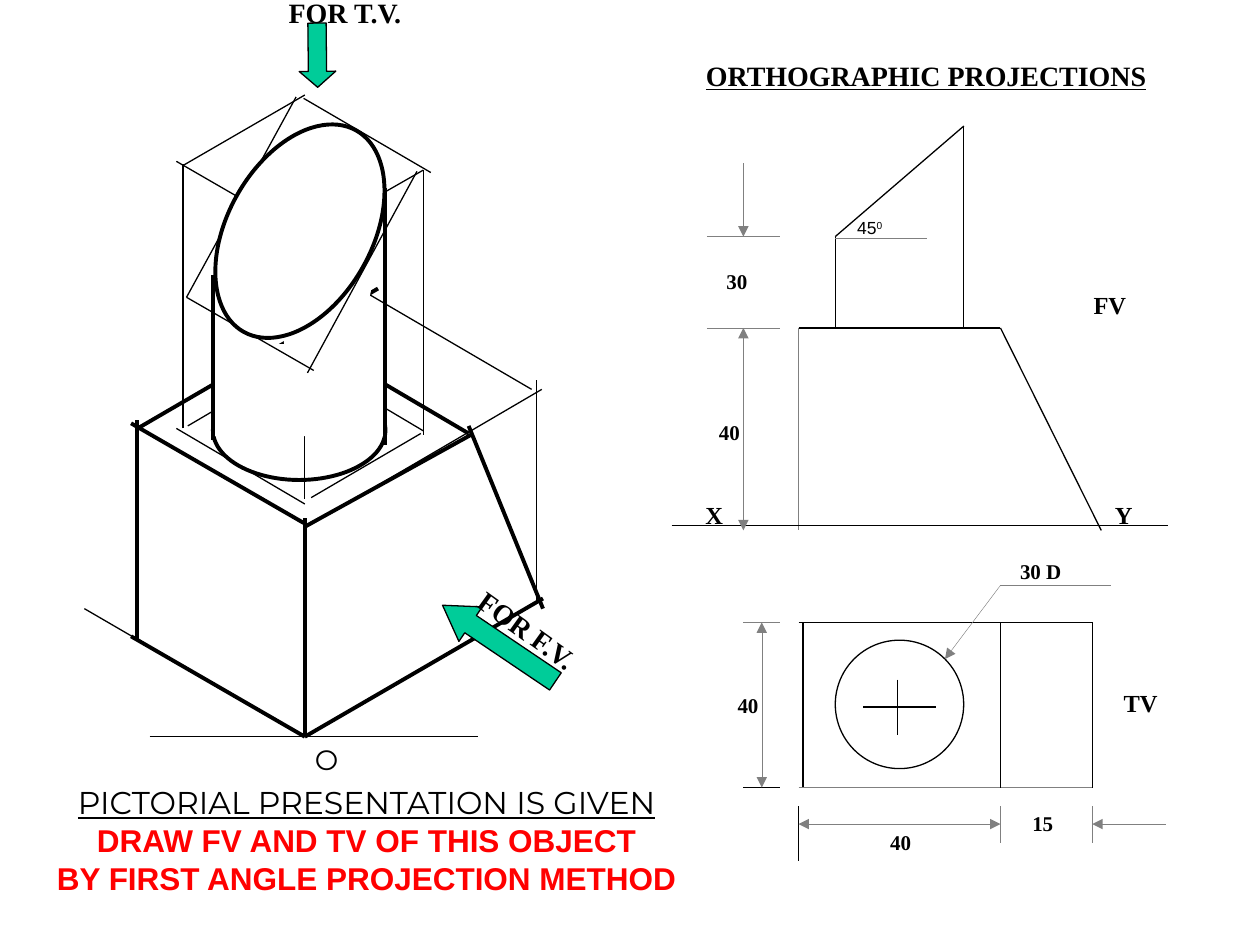
from lxml.etree import SubElement
from pptx import Presentation
from pptx.dml.color import RGBColor
from pptx.enum.shapes import MSO_CONNECTOR, MSO_SHAPE
from pptx.enum.text import MSO_ANCHOR, MSO_AUTO_SIZE, PP_ALIGN
from pptx.oxml.ns import qn
from pptx.util import Pt

BLACK = RGBColor(0x00, 0x00, 0x00)
WHITE = RGBColor(0xFF, 0xFF, 0xFF)
GREY = RGBColor(0x80, 0x80, 0x80)
GREEN = RGBColor(0x00, 0xCC, 0x99)
RED = RGBColor(0xFF, 0x00, 0x00)
SERIF, SANS, DISPLAY = "Times New Roman", "Arial", "Montserrat"

# Pens: colour, width
THIN, HEAVY = (BLACK, 0.75), (BLACK, 2.25)
FINE, LEVEL = (GREY, 0.25), (GREY, 0.75)
START, BOTH = ("headEnd",), ("headEnd", "tailEnd")

# Shared positions of the two views
LEFT, EDGE, RIGHT = 456.3, 571.7, 624.2
CYLINDER_LEFT, CYLINDER_RIGHT = 477.3, 550.8
EXT_START, EXT_END, HEIGHT_X = 403.9, 445.7, 424.8
CUT, TOP, GROUND, BELOW = 135.2, 187.4, 300.3, 303.1
BACK, FRONT, WIDTH_Y, LEADER_Y = 355.7, 450, 470.9, 334.5

# Lines: pen, x1, y1, x2, y2, arrowheads
FRONT_VIEW = [
    (FINE, LEFT, TOP, LEFT, BELOW),
    (THIN, LEFT, TOP, EDGE, TOP),
    (THIN, EDGE, TOP, 629.3, BELOW),
    (THIN, LEFT, GROUND, 635, GROUND),
    (THIN, CYLINDER_LEFT, CUT, CYLINDER_LEFT, TOP),
    (THIN, CYLINDER_RIGHT, 72, CYLINDER_RIGHT, TOP),
    (THIN, CYLINDER_RIGHT, 72, CYLINDER_LEFT, CUT),
    (THIN, 383.8, GROUND, 667.4, GROUND),
    (LEVEL, CYLINDER_LEFT, 136.3, 529.9, 136.3),
    (FINE, EXT_START, TOP, EXT_END, TOP),
    (FINE, EXT_START, CUT, EXT_END, CUT),
    (FINE, HEIGHT_X, TOP, HEIGHT_X, BELOW, BOTH),
    (FINE, HEIGHT_X, CUT, HEIGHT_X, 92.9, START),
]
# Shapes: preset, left, top, width, height, rotation, fill, pen
TOP_VIEW = [
    (THIN, LEFT, BACK, RIGHT, BACK),
    (THIN, 458.8, BACK, 458.8, FRONT),
    (FINE, LEFT, FRONT, RIGHT, FRONT),
    (THIN, EDGE, BACK, EDGE, FRONT),
    (THIN, RIGHT, BACK, RIGHT, FRONT),
    (MSO_SHAPE.OVAL, CYLINDER_LEFT, 365.8, 73.4, 73.4, 0, WHITE, THIN),
    (THIN, 493.2, 404.1, 535, 404.1),
    (THIN, 512.8, 388.3, 512.8, 420),
    (FINE, HEIGHT_X, BACK, EXT_END, BACK),
    (THIN, HEIGHT_X, FRONT, EXT_END, FRONT),
    (FINE, EDGE, 460.8, EDGE, 481.7),
    (FINE, RIGHT, 460.8, RIGHT, 481.7),
    (THIN, LEFT, 460.8, LEFT, 491.8),
    (FINE, LEFT, WIDTH_Y, EDGE, WIDTH_Y, BOTH),
    (FINE, 435.3, BACK, 435.3, FRONT, BOTH),
    (FINE, RIGHT, WIDTH_Y, 666, WIDTH_Y, START),
    (FINE, 540, 376.6, EDGE, LEADER_Y, START),
    (FINE, EDGE, LEADER_Y, 635, LEADER_Y),
]
AXIS, FLOOR = 174.2, 421  # nearest vertical edge of the solid
PICTORIAL = [
    # Base block and its enclosing box
    (THIN, 85.5, FLOOR, 273.3, FLOOR),
    (HEAVY, AXIS, FLOOR, 310.3, 342),
    (THIN, AXIS, FLOOR, 48.2, 347.8),
    (HEAVY, AXIS, FLOOR, AXIS, 295.9),
    (HEAVY, 78.5, 365, 78.5, 239.8),
    (THIN, 306.7, 342.7, 306.7, 217.4),
    (HEAVY, 267.8, 243.4, 310.3, 347.8),
    (THIN, 303.8, 222.5, 205.2, 164.9),
    (HEAVY, 79.9, 244.1, 216, 164.9),
    (THIN, AXIS, 301.7, 309.6, 222.5),
    (HEAVY, 173.5, 298.8, 74.9, 241.9),
    (HEAVY, 267.8, 247.7, 169.9, 190.1),
    # Cylinder foot and its enclosing box
    (MSO_SHAPE.OVAL, 121.7, 217.4, 98.6, 56.9, 0, WHITE, HEAVY),
    (THIN, 107.3, 243.4, 169.9, 206.6),
    (THIN, 177.8, 284.4, 240.5, 247.7),
    (THIN, AXIS, 288, 100.8, 244.8),
    (THIN, 241.9, 246.2, 169.2, 203),
    (THIN, 104.6, 244.8, 104.6, 93.6),
    (THIN, AXIS, 285.1, AXIS, 133.9),
    (THIN, 241.9, 248.4, 241.9, 97.2),
    (HEAVY, AXIS, 301, 269.3, 248.4),
    (THIN, AXIS, 134.6, 100.8, 92.2),
    (THIN, 246.2, 98.6, 173.5, 56.2),
    (THIN, 175, 135.4, 241.9, 97.2),
    (THIN, 105.1, 94.3, AXIS, 54.3),
    (THIN, 169.2, 55.4, 106.6, 169.9),
    (HEAVY, 74.9, 363.6, AXIS, FLOOR),
    # Cylinder body hiding the lines behind it, then its cut face
    (MSO_SHAPE.RECTANGLE, 121.7, 196.6, 99.4, 52.6, 0, WHITE, None),
    (MSO_SHAPE.OVAL, 154.1, 160.6, 66.2, 34.6, 310.1, WHITE, None),
    (THIN, 106.6, 169.9, 179.3, 211.7),
    (THIN, 238.3, 97.9, 175.7, 213.1),
    (MSO_SHAPE.OVAL, 105.5, 90.7, 131.8, 82.8, 299.1, WHITE, HEAVY),
    (HEAVY, 122, 157, 122, 251.3),
    (HEAVY, 219.9, 107.3, 219.9, 254.2),
]
# The last value is the length of the arrow's point
VIEW_ARROWS = [
    (MSO_SHAPE.LEFT_ARROW, 163, 21.1, 36.7, 20.9, 269.4, GREEN, THIN, 0.438),
    (MSO_SHAPE.LEFT_ARROW, 246.2, 355.7, 77.8, 23.8, 34, GREEN, THIN, 0.813),
]

# Labels: text, left, top, width, size, rotation
NUMBER_WIDTH = 28
FRONT_LABELS = [
    ("X", 396, 282.2, 24.5, 14), ("FV", 617.8, 162, 33.1, 14),
    ("Y", 630, 282.2, 24.5, 14),
    ("30", 408, 149.8, NUMBER_WIDTH, 12), ("40", 403.7, 236.2, NUMBER_WIDTH, 12),
]
TOP_LABELS = [
    ("TV", 635, 389.8, 33.8, 14), ("30 D", 575.8, 315.8, 39, 12),
    ("40", 414.4, 392.4, NUMBER_WIDTH, 12), ("40", 501.6, 470.2, NUMBER_WIDTH, 12),
    ("15", 582.8, 459.4, NUMBER_WIDTH, 12),
]
ARROW_LABELS = [
    ("FOR T.V.", 157.9, -6.1, 82.1, 16),
    ("FOR F.V.", 262.1, 347.8, 81.4, 16, 35.6),
]
VIEWS = [
    (FRONT_VIEW, FRONT_LABELS),
    (TOP_VIEW, TOP_LABELS),
    (PICTORIAL, []),
    (VIEW_ARROWS, ARROW_LABELS),
]
TITLE = "ORTHOGRAPHIC PROJECTIONS"
CAPTION = [
    ("PICTORIAL PRESENTATION IS GIVEN", DISPLAY, BLACK, False, True),
    ("DRAW FV AND TV OF THIS OBJECT", SANS, RED, True, False),
    ("BY FIRST ANGLE PROJECTION METHOD", SANS, RED, True, False),
]


def set_font(font, name, size, color=BLACK, bold=False, underline=False):
    font.name, font.size = name, Pt(size)
    font.bold, font.underline = bold, underline
    font.color.rgb = color


def add_line(shapes, pen, x1, y1, x2, y2, heads=()):
    line = shapes.add_connector(MSO_CONNECTOR.STRAIGHT, Pt(x1), Pt(y1), Pt(x2), Pt(y2))
    line.line.color.rgb, line.line.width = pen[0], Pt(pen[1])
    for end in heads:
        SubElement(line.line._get_or_add_ln(), qn(f"a:{end}"), type="triangle")
    SubElement(line._element.spPr, qn("a:effectLst"))


def add_face(shapes, preset, left, top, width, height, rotation, fill, pen, point=None):
    face = shapes.add_shape(preset, Pt(left), Pt(top), Pt(width), Pt(height))
    face.rotation = rotation
    face.shadow.inherit = False
    face.fill.solid()
    face.fill.fore_color.rgb = fill
    if pen:
        face.line.color.rgb, face.line.width = pen[0], Pt(pen[1])
    else:
        face.line.fill.background()
    if point:
        face.adjustments[1] = point


def add_text(shapes, text, left, top, width, size, rotation=0, name=SERIF, bold=True):
    box = shapes.add_textbox(Pt(left), Pt(top), Pt(width), Pt(size * 1.2 + 7.2))
    box.rotation = rotation
    box.text_frame.word_wrap = False
    para = box.text_frame.paragraphs[0]
    para.text = text
    set_font(para.font, name, size, bold=bold)
    return para


deck = Presentation()
deck.slide_width, deck.slide_height = Pt(720), Pt(540)
page = deck.slides.add_slide(deck.slide_layouts[5])

# Title
title = page.shapes.title
title.left, title.top, title.width, title.height = Pt(396.2), Pt(29.8), Pt(266.4), Pt(26.6)
title.text_frame.word_wrap = False
title.text_frame.auto_size = MSO_AUTO_SIZE.NONE
title.text_frame.vertical_anchor = MSO_ANCHOR.TOP
heading = title.text_frame.paragraphs[0]
heading.text = TITLE
heading.alignment = PP_ALIGN.LEFT
set_font(heading.font, SERIF, 16, bold=True, underline=True)

# Views, each drawn from back to front
for parts, labels in VIEWS:
    shapes = page.shapes.add_group_shape().shapes
    for part in parts:
        draw = add_line if isinstance(part[0], tuple) else add_face
        draw(shapes, *part)
    for label in labels:
        add_text(shapes, *label)

# Angle with its degree sign, and the origin
angle = add_text(page.shapes, "45", 482.8, 120.6, 28.8, 10, name=SANS, bold=False)
degree = angle.add_run()
degree.text = "0"
degree.font._element.set("baseline", "30000")
origin = add_text(page.shapes, "O", 172.8, 420.5, 26.6, 16, name=DISPLAY, bold=False)
origin.alignment = PP_ALIGN.CENTER

# Caption
caption = page.shapes.add_textbox(Pt(24.8), Pt(444.2), Pt(369.4), Pt(72))
caption.text_frame.word_wrap = False
caption.text_frame.text = "\n".join(row[0] for row in CAPTION)
for para, (_, name, color, bold, underline) in zip(caption.text_frame.paragraphs, CAPTION):
    para.alignment = PP_ALIGN.CENTER
    set_font(para.font, name, 18, color, bold, underline)

deck.save("out.pptx")
